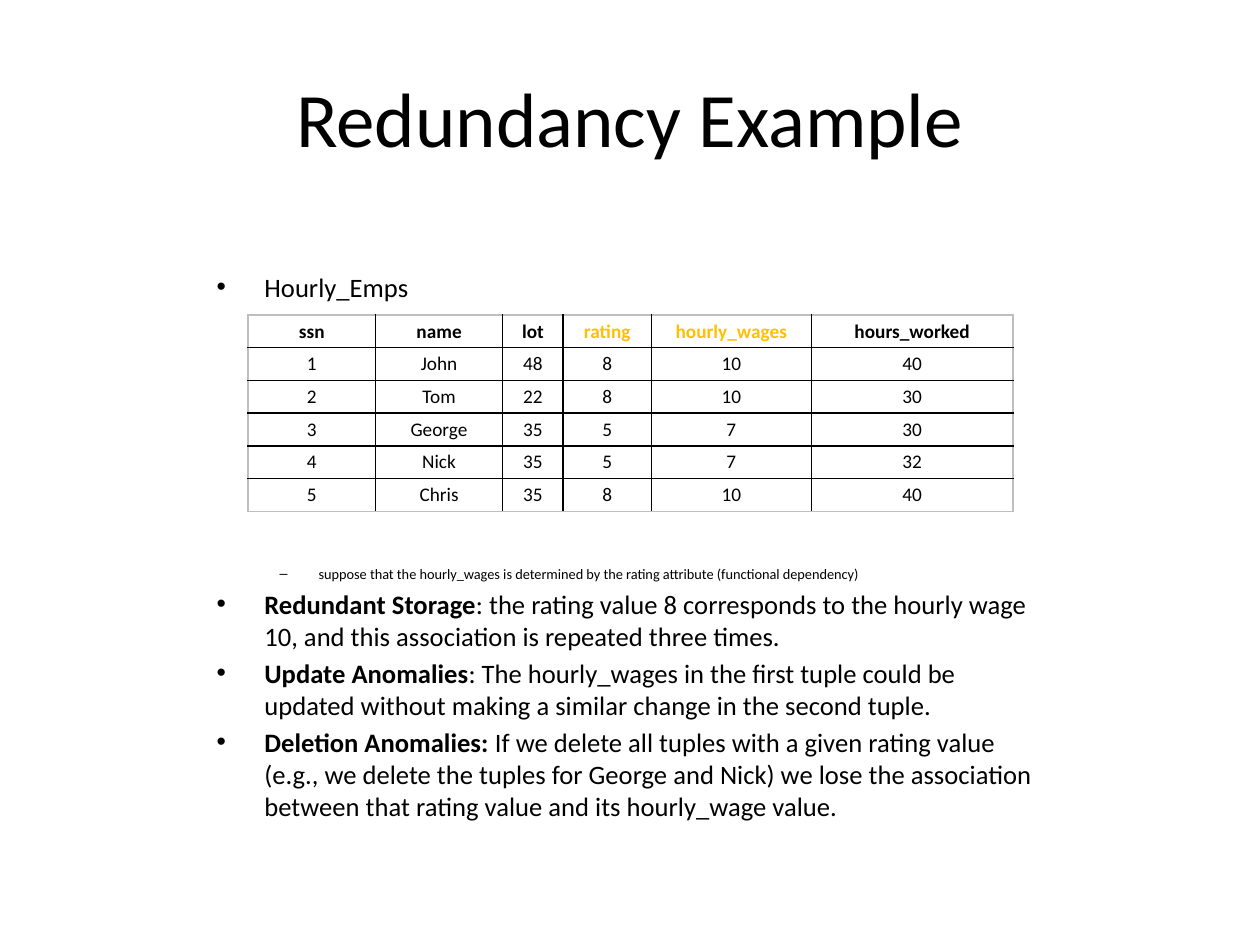
from lxml.etree import SubElement
from pptx import Presentation
from pptx.dml.color import RGBColor
from pptx.enum.text import MSO_ANCHOR, PP_ALIGN
from pptx.oxml.ns import qn
from pptx.util import Inches, Pt

BLACK, GOLD, GREY = "000000", "FFC000", "BFBFBF"
ROWS = [
    ("ssn", "name", "lot", "rating", "hourly_wages", "hours_worked"),
    ("1", "John", "48", "8", "10", "40"),
    ("2", "Tom", "22", "8", "10", "30"),
    ("3", "George", "35", "5", "7", "30"),
    ("4", "Nick", "35", "5", "7", "32"),
    ("5", "Chris", "35", "8", "10", "40"),
]
COL_WIDTHS = (1.01, 1.01, 0.48, 0.7, 1.27, 1.6)
DEPENDENT_COLS = ("rating", "hourly_wages")
TABLE_GAP = 150  # points kept free for the table between two paragraphs

# bold lead, text, level, space before
POINTS = [
    ("", "Hourly_Emps", 0, 3),
    ("", "suppose that the hourly_wages is determined by the rating attribute "
         "(functional dependency)", 1, TABLE_GAP),
    ("Redundant Storage", ": the rating value 8 corresponds to the hourly wage 10, "
     "and this association is repeated three times.", 0, 3),
    ("Update Anomalies", ": The hourly_wages in the first tuple could be updated "
     "without making a similar change in the second tuple.", 0, 3),
    ("Deletion Anomalies: ", "If we delete all tuples with a given rating value "
     "(e.g., we delete the tuples for George and Nick) we lose the association "
     "between that rating value and its hourly_wage value.", 0, 3),
]
# bullet, left margin, hanging indent, text size
LEVELS = [("•", 0.38, 0.38, 15.2), ("–", 0.81, 0.31, 8.2)]


def rgb(color):
    return RGBColor.from_string(color)


def style_run(r, size, color=BLACK, bold=False):
    r.font.name = "Calibri"
    r.font.size = Pt(size)
    r.font.bold = bold
    r.font.color.rgb = rgb(color)


def add_text_frame(s, box):
    tf = s.shapes.add_textbox(*map(Inches, box)).text_frame
    tf.word_wrap = True
    return tf


def add_title(s, box, text):
    tf = add_text_frame(s, box)
    tf.vertical_anchor = MSO_ANCHOR.MIDDLE
    p = tf.paragraphs[0]
    p.text = text
    p.alignment = PP_ALIGN.CENTER
    style_run(p.runs[0], 44)


def set_bullet(p, char, margin, hanging):
    pPr = p._p.get_or_add_pPr()
    pPr.set("marL", str(Inches(margin)))
    pPr.set("indent", str(-Inches(hanging)))
    SubElement(pPr, qn("a:buFont"), typeface="Arial")
    SubElement(pPr, qn("a:buChar"), char=char)


def add_points(s, box, points):
    tf = add_text_frame(s, box)
    for i, (lead, text, level, space) in enumerate(points):
        p = tf.add_paragraph() if i else tf.paragraphs[0]
        char, margin, hanging, size = LEVELS[level]
        p.level = level
        p.space_before = Pt(space)
        set_bullet(p, char, margin, hanging)
        for part, bold in ((lead, True), (text, False)):
            if part:
                r = p.add_run()
                r.text = part
                style_run(r, size, bold=bold)


def set_borders(cell, colors):
    """Draw the left, right, top and bottom borders in the given colours."""
    tcPr = cell._tc.get_or_add_tcPr()
    for side, color in zip("LRTB", colors):
        ln = SubElement(tcPr, qn("a:ln" + side), w=str(Pt(1)))
        SubElement(SubElement(ln, qn("a:solidFill")), qn("a:srgbClr"), val=color)


def add_employee_table(s, left, top, row_height, rows):
    n_rows, n_cols = len(rows), len(COL_WIDTHS)
    table = s.shapes.add_table(
        n_rows, n_cols, Inches(left), Inches(top),
        Inches(sum(COL_WIDTHS)), Inches(row_height * n_rows)).table
    for col, width in zip(table.columns, COL_WIDTHS):
        col.width = Inches(width)
    for i, values in enumerate(rows):
        table.rows[i].height = Inches(row_height)
        for j, value in enumerate(values):
            cell = table.cell(i, j)
            outer = (j == 0, j == n_cols - 1, i == 0, i == n_rows - 1)
            set_borders(cell, [GREY if edge else BLACK for edge in outer])
            cell.fill.background()
            cell.margin_left = cell.margin_right = Inches(0.07)
            cell.margin_top = cell.margin_bottom = Inches(0.03)
            cell.vertical_anchor = MSO_ANCHOR.MIDDLE
            p = cell.text_frame.paragraphs[0]
            p.text = value
            p.alignment = PP_ALIGN.CENTER
            color = GOLD if value in DEPENDENT_COLS else BLACK
            style_run(p.runs[0], 11, color, bold=i == 0)


def main():
    prs = Presentation()
    prs.slide_width, prs.slide_height = Inches(10), Inches(7.5)
    s = prs.slides.add_slide(prs.slide_layouts[6])
    add_title(s, (0.5, 0.3, 9, 1.25), "Redundancy Example")
    add_points(s, (1.62, 2.1, 6.75, 4.38), POINTS)
    add_employee_table(s, 1.97, 2.5, 0.26, ROWS)
    prs.save("out.pptx")


if __name__ == "__main__":
    main()
